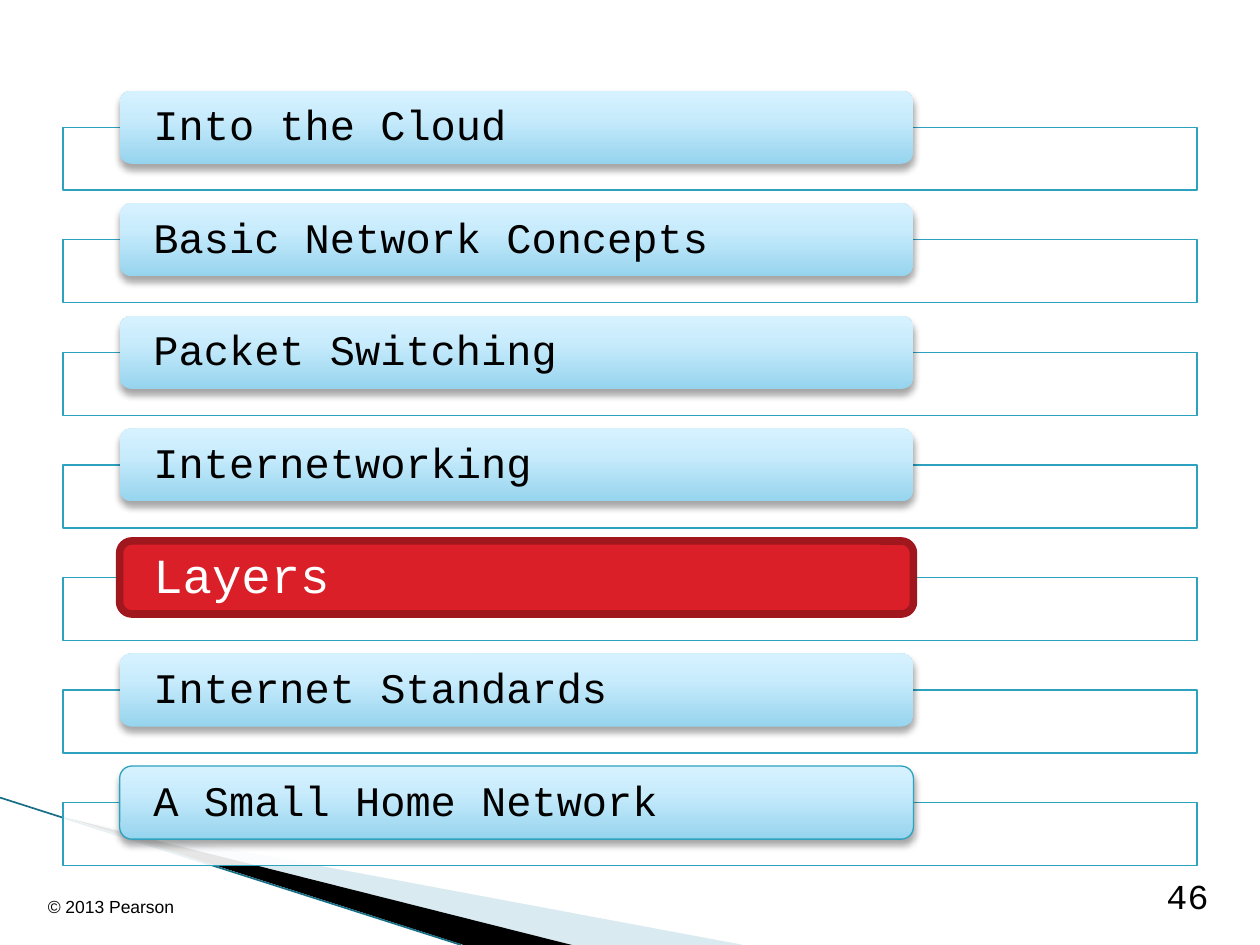
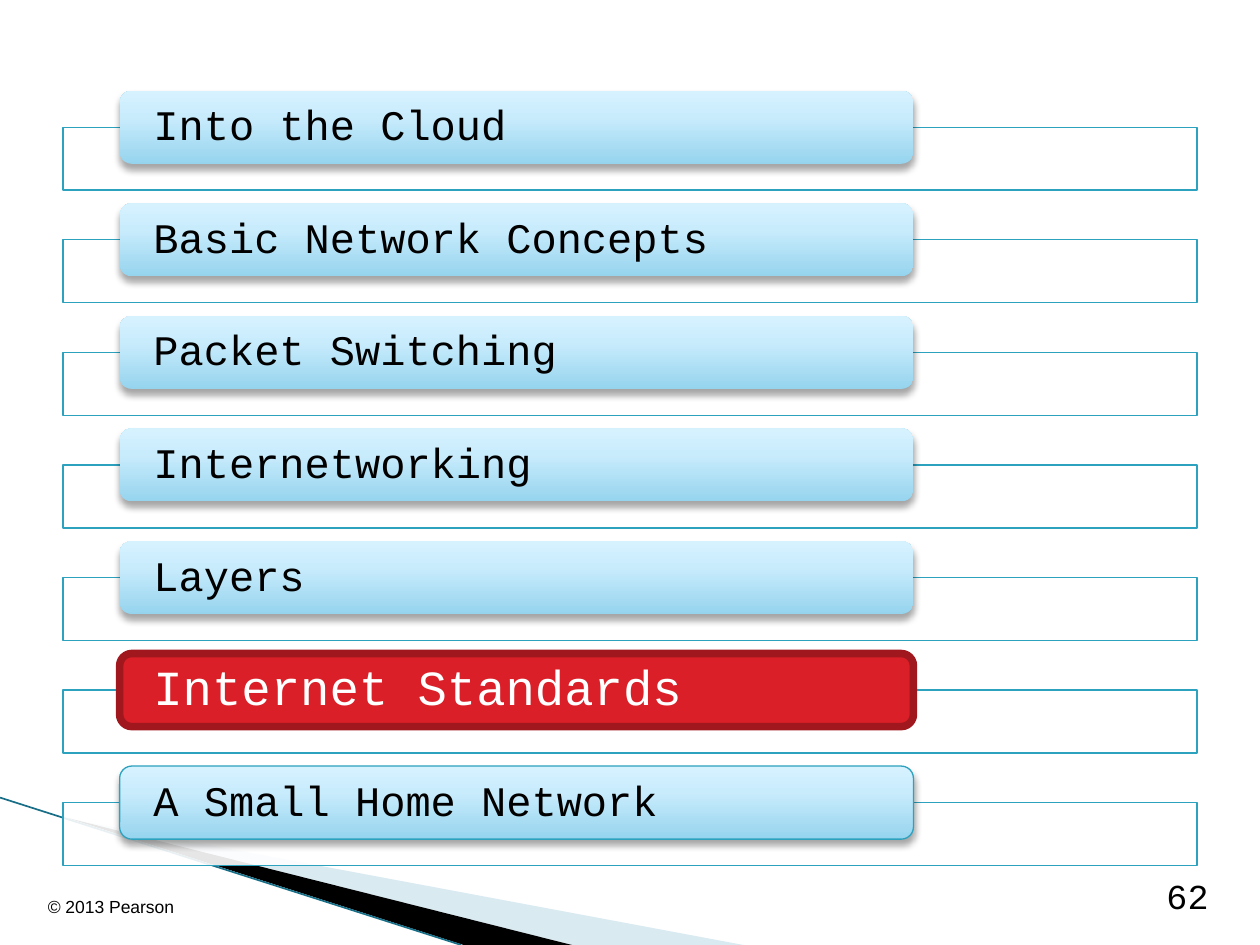
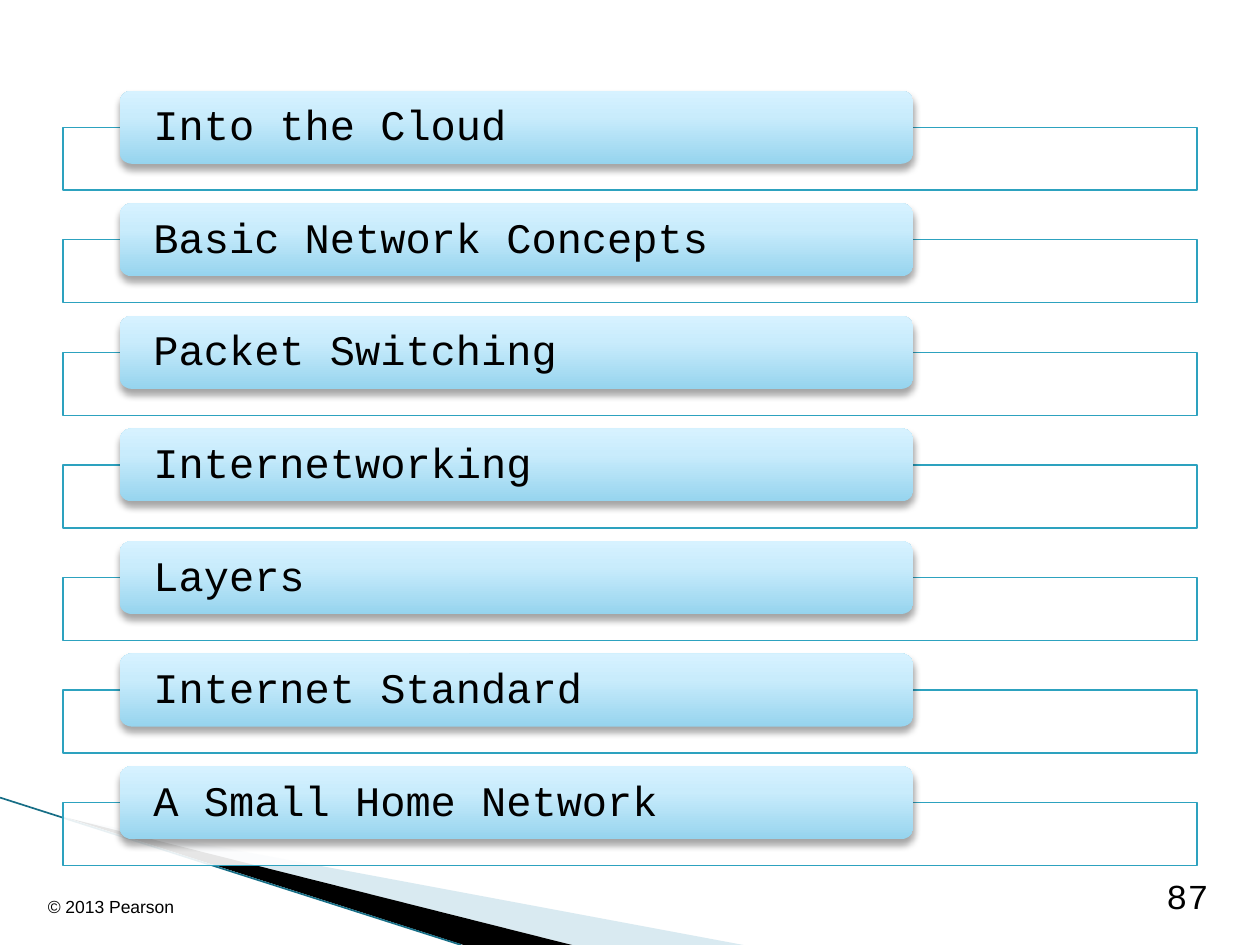
from lxml import etree
from copy import deepcopy
from pptx import Presentation
from pptx.dml.color import RGBColor
from pptx.enum.shapes import MSO_CONNECTOR, MSO_SHAPE
from pptx.enum.text import MSO_ANCHOR as Anchor, PP_ALIGN as Align
from pptx.oxml.ns import qn
from pptx.util import Inches, Pt

WHITE = RGBColor(0xFF, 0xFF, 0xFF)
BLACK = RGBColor(0x00, 0x00, 0x00)
TEAL = RGBColor(0x2D, 0xA2, 0xBF)
DARK_TEAL = RGBColor(0x17, 0x6E, 0x86)
PALE_BLUE = RGBColor(0xA0, 0xCB, 0xDC)
RED = RGBColor(0xDA, 0x1F, 0x28)
DARK_RED = RGBColor(0xA1, 0x17, 0x1E)
BAR_STOPS = [
    (0, RGBColor(0x96, 0xD4, 0xEE)),
    (0.65, RGBColor(0xC9, 0xEC, 0xFC)),
    (1, RGBColor(0xD7, 0xF2, 0xFF)),
]

MONO, SANS = "Courier New", "Arial"
AGENDA_BOX = (0.5, 0.72, 9, 6.15)
BAR_HEIGHT, PANEL_HEIGHT = 0.58, 0.5

TOPICS = ["Into the Cloud", "Basic Network Concepts", "Packet Switching",
          "Internetworking", "Layers", "Internet Standards",
          "A Small Home Network"]
LAST_SECTION_TOPICS = [
    "Internet Standard" if topic == "Internet Standards" else topic
    for topic in TOPICS
]
# page number, topics, current topic, whether the last bar is outlined
AGENDAS = [
    (46, TOPICS, "Layers", True),
    (62, TOPICS, "Internet Standards", True),
    (87, LAST_SECTION_TOPICS, None, False),
]


def set_opacity(shape, percent):
    color = shape._element.spPr.find(qn("a:solidFill"))[0]
    etree.SubElement(color, qn("a:alpha"), val=str(percent * 1000))


def fill_gradient(shape):
    shape.fill.gradient()
    shape.fill.gradient_angle = 90
    first_stop = next(shape._element.spPr.iter(qn("a:gs")))
    first_stop.addnext(deepcopy(first_stop))
    for stop, (position, color) in zip(shape.fill.gradient_stops, BAR_STOPS):
        stop.position = position
        stop.color.rgb = color


def add_drop_shadow(shape):
    effects = shape._element.spPr.find(qn("a:effectLst"))
    shadow = etree.SubElement(
        effects, qn("a:outerShdw"), blurRad=str(Pt(4)), dist=str(Pt(3)),
        dir="5400000", rotWithShape="0")
    color = etree.SubElement(shadow, qn("a:srgbClr"), val=str(BLACK))
    etree.SubElement(color, qn("a:alpha"), val="35000")


def set_outline(shape, color, width):
    shape.line.color.rgb = color
    shape.line.width = Pt(width)


def write(shape, text, font, size, color, align, anchor):
    frame = shape.text_frame
    frame.word_wrap = True
    frame.vertical_anchor = anchor
    para = frame.paragraphs[0]
    para.alignment = align
    span = para.add_run()
    span.text = text
    span.font.name = font
    span.font.size = Pt(size)
    span.font.color.rgb = color


def add_preset(page, kind, left, top, width, height):
    shape = page.shapes.add_shape(
        kind, Inches(left), Inches(top), Inches(width), Inches(height))
    shape.shadow.inherit = False
    return shape


def add_wedge(page, points, color):
    start, *others = [(Inches(x), Inches(y)) for x, y in points]
    builder = page.shapes.build_freeform(*start)
    builder.add_line_segments(others, close=True)
    wedge = builder.convert_to_shape()
    wedge.shadow.inherit = False
    wedge.fill.solid()
    wedge.fill.fore_color.rgb = color
    wedge.line.fill.background()
    return wedge


def add_corner_sweep(page):
    pale = add_wedge(
        page, [(0.55, 6.5), (5.9, 7.5), (4.54, 7.5)], PALE_BLUE)
    set_opacity(pale, 40)
    add_wedge(page, [(0.53, 6.49), (4.54, 7.5), (3.68, 7.5)], BLACK)
    edge = page.shapes.add_connector(
        MSO_CONNECTOR.STRAIGHT, 0, Inches(6.33), Inches(3.66), Inches(7.5))
    set_outline(edge, DARK_TEAL, 0.95)
    etree.SubElement(edge._element.spPr, qn("a:effectLst"))


def add_topic(page, left, top, width, topic, current, outlined):
    """Draw a panel with the topic's bar overlapping its top edge."""
    panel = add_preset(page, MSO_SHAPE.RECTANGLE, left,
                       top + BAR_HEIGHT / 2, width, PANEL_HEIGHT)
    panel.fill.solid()
    panel.fill.fore_color.rgb = WHITE
    set_opacity(panel, 90)
    set_outline(panel, TEAL, 0.75)

    bar = add_preset(page, MSO_SHAPE.ROUNDED_RECTANGLE, left + 0.05 * width,
                     top, 0.7 * width, BAR_HEIGHT)
    if current:
        bar.fill.solid()
        bar.fill.fore_color.rgb = RED
        set_outline(bar, DARK_RED, 4.33)
    else:
        fill_gradient(bar)
        add_drop_shadow(bar)
        if outlined:
            set_outline(bar, TEAL, 0.75)
        else:
            bar.line.fill.background()

    frame = bar.text_frame
    frame.margin_left = frame.margin_right = Inches(0.24)
    frame.margin_top = frame.margin_bottom = 0
    size, color = (28, WHITE) if current else (24, BLACK)
    write(bar, topic, MONO, size, color, Align.LEFT, Anchor.MIDDLE)
    frame.paragraphs[0].line_spacing = 0.9


def add_agenda(page, box, topics, current, last_outlined):
    left, top, width, height = box
    item_height = BAR_HEIGHT / 2 + PANEL_HEIGHT
    pitch = (height - item_height) / (len(topics) - 1)
    for index, topic in enumerate(topics):
        outlined = last_outlined and topic == topics[-1]
        add_topic(page, left, top + index * pitch, width, topic,
                  topic == current, outlined)


def add_footer(page, number):
    number_box = page.shapes.add_textbox(
        Inches(8.75), Inches(6.92), Inches(0.94), Inches(0.4))
    write(number_box, str(number), MONO, 20, BLACK, Align.RIGHT, Anchor.BOTTOM)
    copyright_box = page.shapes.add_textbox(
        Inches(0.17), Inches(6.93), Inches(1.42), Inches(0.4))
    write(copyright_box, "© 2013 Pearson", SANS, 10, BLACK,
          Align.CENTER, Anchor.BOTTOM)


def main():
    deck = Presentation()
    deck.slide_width, deck.slide_height = Inches(10), Inches(7.5)
    for number, topics, current, last_outlined in AGENDAS:
        page = deck.slides.add_slide(deck.slide_layouts[6])
        add_corner_sweep(page)
        add_agenda(page, AGENDA_BOX, topics, current, last_outlined)
        add_footer(page, number)
    deck.save("out.pptx")


if __name__ == "__main__":
    main()
